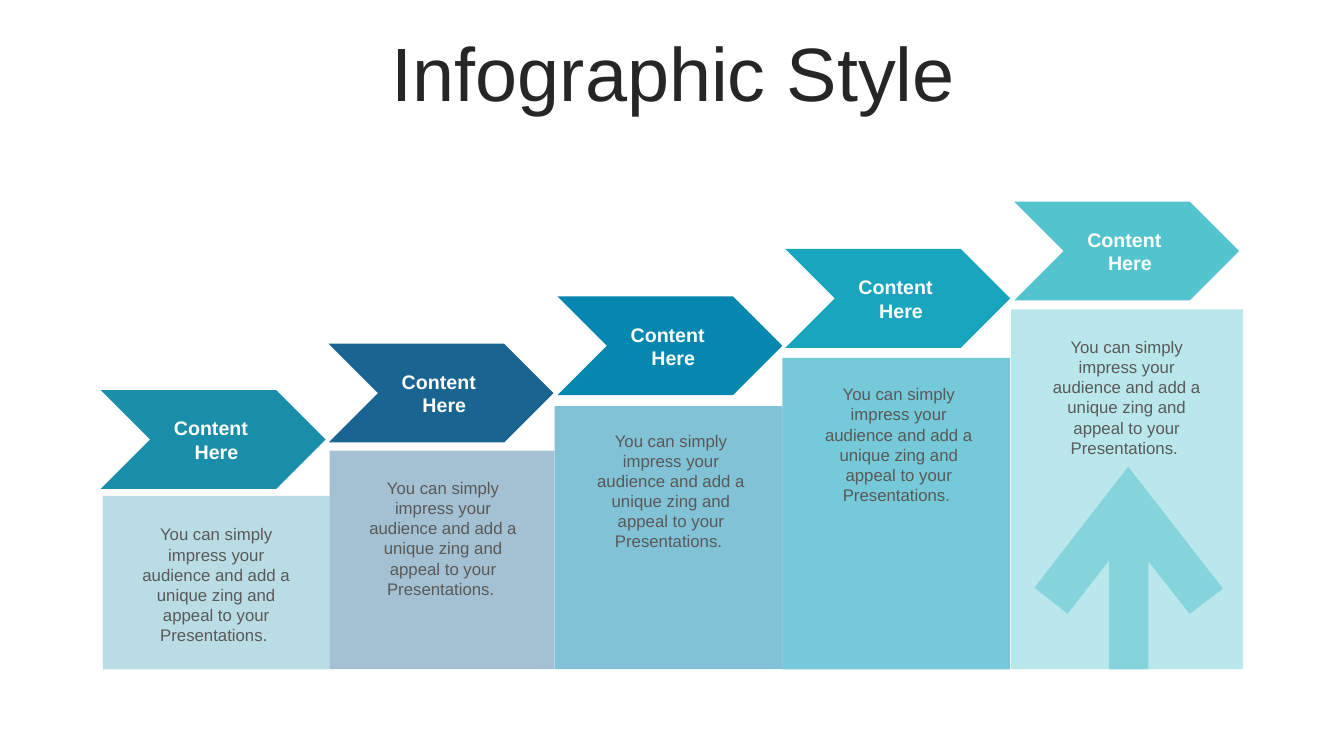
from lxml.etree import SubElement
from pptx import Presentation
from pptx.dml.color import RGBColor as RGB
from pptx.enum.shapes import MSO_SHAPE as Shape
from pptx.enum.text import MSO_ANCHOR as Anchor, MSO_AUTO_SIZE as Fit, PP_ALIGN as Align
from pptx.oxml.ns import qn
from pptx.util import Pt

PX = 9144
THEME = {
    "font": "Arial",
    "title": (54, "262626", False),
    "label": (14, "FFFFFF", True),
    "body": (12, "595959", False),
    "steps": ["1A8EA9", "196491", "0587AF", "19A5BE", "53C3CD"],
}
BASE = 664
BARS = [(102, 492, 225, 30), (327, 447, 223, 40), (550, 403, 226, 50),
        (776, 355, 226, 60), (1003, 307, 230, 40)]
ARROW = [(1119, 463), (1213, 584), (1180, 609), (1139, 557), (1139, BASE),
         (1100, BASE), (1100, 556), (1059, 609), (1026, 583)]
LABEL = ["Content ", " Here"]
BODY = ["You can simply impress your audience and add a unique zing "
        "and appeal to your Presentations. "]


def paint(shape, color, alpha=100):
    shape.shadow.inherit = False
    shape.line.fill.background()
    shape.fill.solid()
    shape.fill.fore_color.rgb = RGB.from_string(color)
    if alpha < 100:
        tint = shape.fill._xPr.find(".//" + qn("a:srgbClr"))
        SubElement(tint, qn("a:alpha"), val=str(alpha * 1000))


def write(box, lines, style):
    size, color, bold = THEME[style]
    frame = slide.shapes.add_textbox(*[n * PX for n in box]).text_frame
    frame.word_wrap = True
    for i, line in enumerate(lines):
        para = frame.paragraphs[0] if i == 0 else frame.add_paragraph()
        para.alignment = Align.CENTER
        run = para.add_run()
        run.text = line
        run.font.name = THEME["font"]
        run.font.size = Pt(size)
        run.font.bold = bold
        run.font.color.rgb = RGB.from_string(color)
    return frame


deck = Presentation()
deck.slide_width, deck.slide_height = 1333 * PX, 750 * PX
slide = deck.slides.add_slide(deck.slide_layouts[6])

title = write((35, 37, 1266, 79), ["Infographic Style"], "title")
title.vertical_anchor = Anchor.MIDDLE
title.paragraphs[0].line_spacing = 0.9
title.paragraphs[0].space_before = Pt(10)

for i, (color, (left, top, width, alpha)) in enumerate(zip(THEME["steps"], BARS)):
    bar = slide.shapes.add_shape(
        Shape.RECTANGLE, left * PX, top * PX, width * PX, (BASE - top) * PX)
    paint(bar, color, alpha)

    x, y = 100 + 453 * i // 2, 387 - 187 * i // 4
    step = slide.shapes.add_shape(Shape.CHEVRON, x * PX, y * PX, 223 * PX, 98 * PX)
    paint(step, color)

    label = write((x + 57, y + 21, 110, 57), LABEL, "label")
    body = write((121 + 903 * i // 4, 515 - 93 * i // 2, 187, 111), BODY, "body")
    label.auto_size = body.auto_size = Fit.SHAPE_TO_FIT_TEXT

pen = slide.shapes.build_freeform(*ARROW[0], scale=PX)
pen.add_line_segments(ARROW[1:], close=True)
paint(pen.convert_to_shape(), THEME["steps"][-1], 50)

deck.save("out.pptx")
